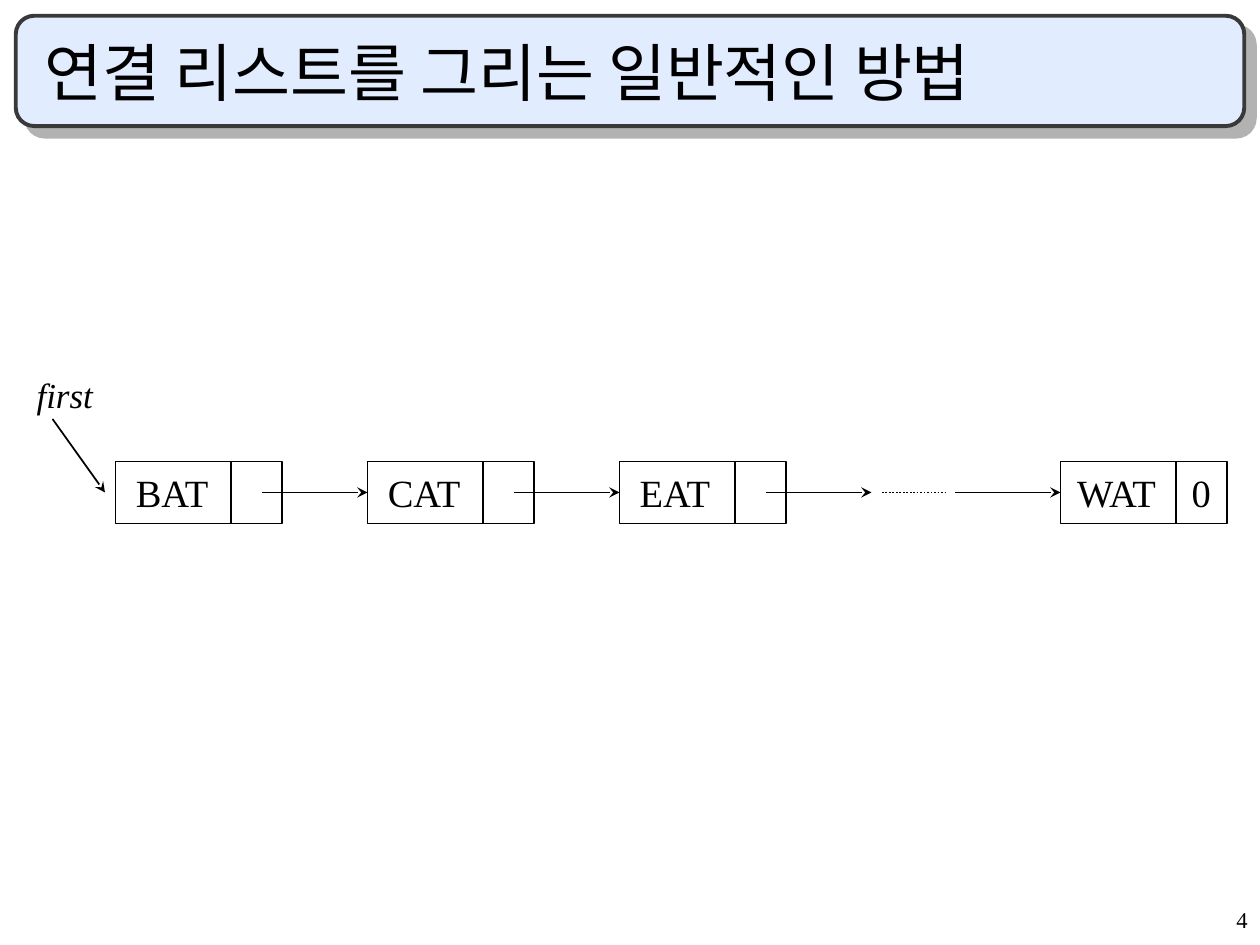
from pptx import Presentation
from pptx.dml.color import RGBColor
from pptx.enum.dml import MSO_LINE
from pptx.enum.shapes import MSO_CONNECTOR as LINK, MSO_SHAPE as SHAPE
from pptx.enum.text import MSO_ANCHOR as ANCHOR, MSO_AUTO_SIZE as FIT, PP_ALIGN as ALIGN
from pptx.oxml import parse_xml
from pptx.oxml.ns import nsdecls
from pptx.oxml.xmlchemy import OxmlElement
from pptx.util import Inches, Pt

COLORS = {"ink": "000000", "banner": "E1ECFF", "border": "393939", "shadow": "B2B2B2"}
rgb = {part: RGBColor.from_string(value) for part, value in COLORS.items()}

deck = Presentation()
deck.slide_width, deck.slide_height = Inches(10), Inches(7.5)
unit = deck.slide_width / 120
slide = deck.slides.add_slide(deck.slide_layouts[5])
shapes = slide.shapes


def write(holder, text, size, italic=False, align=ALIGN.LEFT, **frame_format):
    frame = holder.text_frame
    frame.text = text
    for key, value in frame_format.items():
        setattr(frame, key, value)
    paragraph = frame.paragraphs[0]
    paragraph.alignment = align
    font_format = {"name": "Times New Roman", "size": Pt(size), "italic": italic}
    for key, value in font_format.items():
        setattr(paragraph.font, key, value)
    paragraph.font.color.rgb = rgb["ink"]
    return paragraph


def draw_line(x1, y1, x2, y2, arrow=False):
    link = shapes.add_connector(LINK.STRAIGHT, *(round(n * unit) for n in (x1, y1, x2, y2)))
    link.line.color.rgb = rgb["ink"]
    link.line.width = Pt(1)
    properties = link._element.spPr
    if arrow:
        head = OxmlElement("a:tailEnd")
        head.set("type", "stealth")
        properties.find("{*}ln").append(head)
    properties.append(OxmlElement("a:effectLst"))
    return link


banner = shapes.add_shape(SHAPE.ROUNDED_RECTANGLE, *(round(n * unit) for n in (1.5, 1.5, 117, 10.5)))
banner.fill.solid()
banner.fill.fore_color.rgb = rgb["banner"]
banner.line.color.rgb = rgb["border"]
banner.line.width = Pt(2.25)
banner.shadow.inherit = False
banner._element.spPr.find("{*}effectLst").append(parse_xml(
    f'<a:outerShdw {nsdecls("a")} dist="{Pt(8.5)}" dir="2700000" algn="ctr" rotWithShape="0">'
    f'<a:srgbClr val="{COLORS["shadow"]}"/></a:outerShdw>'))
shapes._spTree.insert(2, banner._element)

title = shapes.title
for key, value in zip(("left", "top", "width", "height"), (3, 3, 113, 8)):
    setattr(title, key, round(value * unit))
write(title, "연결 리스트를 그리는 일반적인 방법", 36,
      vertical_anchor=ANCHOR.BOTTOM, auto_size=FIT.NONE, word_wrap=True)

page_number = shapes.add_textbox(*(round(n * unit) for n in (95, 86, 25, 4)))
write(page_number, "4", 12.9, align=ALIGN.RIGHT, word_wrap=True).line_spacing = 0.9

node_top, node_width, node_height, link_start = 43.95, 15.85, 5.9, 14
middle = node_top + node_height / 2
nodes = []
for word, left, indent, width in (("BAT", 11, 0.75, 9.7), ("CAT", 35, 0.75, 9.7),
                                  ("EAT", 59, 0.75, 9.6), ("WAT", 101, 0.4, 10.8)):
    node = shapes.add_shape(SHAPE.RECTANGLE, *(
        round(n * unit) for n in (left, node_top, node_width, node_height)))
    node.fill.background()
    node.line.color.rgb = rgb["ink"]
    node.line.width = Pt(1)
    node.shadow.inherit = False
    nodes.append(node)
    draw_line(left + 11, node_top, left + 11, node_top + node_height)
    label = shapes.add_textbox(*(round(n * unit) for n in (left + indent, 44.05, width, 5.6)))
    write(label, word, 22, word_wrap=False, auto_size=FIT.SHAPE_TO_FIT_TEXT)

for start, target in ((11 + link_start, nodes[1]), (35 + link_start, nodes[2]),
                      (59 + link_start, None), (91, nodes[3])):
    pointer = draw_line(start, middle, start + 10, middle, arrow=True)
    if target is not None:
        pointer.end_connect(target, 1)

draw_line(84, middle, 90, middle).line.dash_style = MSO_LINE.ROUND_DOT
draw_line(5, 39.9, 10, middle, arrow=True)

for word, box, size, italic in (("first", (2.3, 35, 7.8, 5.2), 20, True),
                                ("0", (112.3, 44.05, 4.2, 5.6), 22, False)):
    label = shapes.add_textbox(*(round(n * unit) for n in box))
    write(label, word, size, italic, word_wrap=False, auto_size=FIT.SHAPE_TO_FIT_TEXT)

deck.save("out.pptx")
